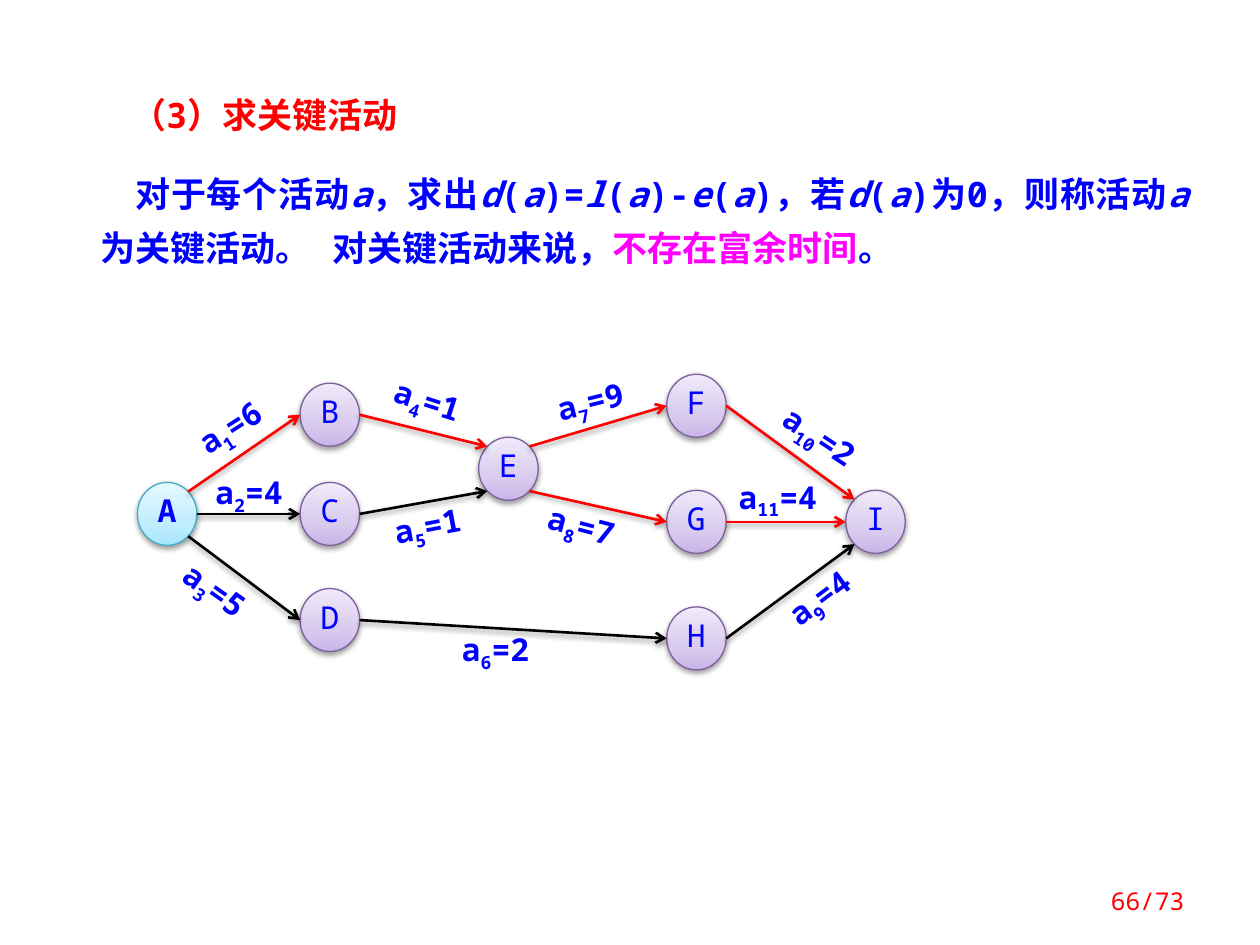
from copy import deepcopy
from math import cos, pi

from lxml.etree import SubElement
from pptx import Presentation
from pptx.dml.color import RGBColor
from pptx.enum.shapes import MSO_CONNECTOR, MSO_SHAPE
from pptx.enum.text import MSO_ANCHOR, MSO_AUTO_SIZE, PP_ALIGN
from pptx.oxml.ns import qn
from pptx.util import Cm, Pt

THEME = {
    "font": "Noto Sans Mono",
    "text": "0000FF", "title": "FF0000", "highlight": "FF00FF",
    "critical": "FF0000", "normal": "000000",
    "start": {"line": "46AAC5", "stops": ["A7E6FF", "C1EDFF", "E7F8FF"]},
    "event": {"line": "7D60A0", "stops": ["C9B5E8", "D8CBEE", "F0EAF9"]},
    "body_size": 20, "graph_size": 18, "page_size": 14,
}
STOP_POSITIONS = [0, 0.35, 1]

TITLE = "（3）求关键活动"
PAGE = "66/73"
# Text between asterisks is italic.
BODY = [
    ("对于每个活动*a*，求出*d*(*a*)=*l*(*a*)-*e*(*a*)，若*d*(*a*)为0，则称活动*a*"
     "为关键活动。 对关键活动来说，", "text"),
    ("不存在富余时间", "highlight"),
    ("。", "text"),
]

# Centres in cm
EVENTS = {
    "A": (3.37, 10.36), "B": (6.65, 8.36), "C": (6.65, 10.36),
    "D": (6.65, 12.5), "E": (10.25, 9.45), "F": (14.04, 8.18),
    "G": (14.04, 10.52), "H": (14.04, 12.87), "I": (17.65, 10.52),
}
EVENT_WIDTH, EVENT_HEIGHT = 1.2, 1.27
DIAGONAL = cos(pi / 4)
SITES = {
    "left": (-1, 0), "right": (1, 0),
    "upper left": (-DIAGONAL, -DIAGONAL), "lower left": (-DIAGONAL, DIAGONAL),
    "upper right": (DIAGONAL, -DIAGONAL), "lower right": (DIAGONAL, DIAGONAL),
}

# Index, duration, from, site, to, site, colour, label centre, label angle
ACTIVITIES = [
    (1, 6, "A", "upper right", "B", "left", "critical", (4.64, 8.61), -32.7),
    (2, 4, "A", "right", "C", "left", "normal", (5.02, 9.93), 0),
    (3, 5, "A", "lower right", "D", "left", "normal", (4.33, 11.89), 35.2),
    (4, 1, "B", "right", "E", "upper left", "critical", (8.62, 8.08), 17.8),
    (5, 1, "C", "right", "E", "lower left", "normal", (8.62, 10.6), -10.8),
    (6, 2, "D", "right", "H", "left", "normal", (9.99, 13.09), 0),
    (7, 9, "E", "upper right", "F", "left", "critical", (11.9, 8.09), -14),
    (8, 7, "E", "lower right", "G", "left", "critical", (11.72, 10.6), 14.7),
    (9, 4, "H", "right", "I", "lower left", "normal", (16.52, 12.05), -36.6),
    (10, 2, "F", "right", "I", "upper left", "critical", (16.52, 8.8), 33.4),
    (11, 4, "G", "right", "I", "left", "critical", (15.68, 10.02), 0),
]
LABEL_WIDTH, LABEL_HEIGHT = 2.06, 0.62


def set_attributes(target, **values):
    for name, value in values.items():
        setattr(target, name, value)


def colour(name):
    return RGBColor.from_string(THEME.get(name, name))


def add_run(paragraph, text, size, color="text", baseline=0, **format_values):
    run = paragraph.add_run()
    run.text = text
    set_attributes(run.font, name=THEME["font"], size=Pt(THEME[size]), **format_values)
    run.font.color.rgb = colour(color)
    properties = run.font._element
    SubElement(properties, qn("a:ea"), typeface=THEME["font"])
    if baseline:
        properties.set("baseline", str(baseline))


def prepare_text(shape, margins=None, anchor=MSO_ANCHOR.TOP, **paragraph_values):
    """Format the text frame and return its first paragraph."""
    frame = shape.text_frame
    set_attributes(frame, word_wrap=True, auto_size=MSO_AUTO_SIZE.NONE,
                   vertical_anchor=anchor)
    if margins is not None:
        set_attributes(frame, margin_left=margins, margin_right=margins,
                       margin_top=margins, margin_bottom=margins)
    paragraph = frame.paragraphs[0]
    set_attributes(paragraph, **paragraph_values)
    return paragraph


def add_shadow(shape):
    effects = SubElement(shape._element.spPr, qn("a:effectLst"))
    shadow = SubElement(effects, qn("a:outerShdw"), blurRad="40000", dist="20000",
                        dir="5400000", rotWithShape="0")
    black = SubElement(shadow, qn("a:srgbClr"), val="000000")
    SubElement(black, qn("a:alpha"), val="38000")


def add_event(shapes, name, center):
    x, y = center
    style = THEME["start" if name == "A" else "event"]
    shape = shapes.add_shape(
        MSO_SHAPE.OVAL, Cm(x - EVENT_WIDTH / 2), Cm(y - EVENT_HEIGHT / 2),
        Cm(EVENT_WIDTH), Cm(EVENT_HEIGHT))
    shape.fill.gradient()
    shape.fill.gradient_angle = 90
    stop_list = shape._element.spPr.find(".//" + qn("a:gsLst"))
    stop_list.append(deepcopy(stop_list[0]))
    for stop, position, value in zip(shape.fill.gradient_stops, STOP_POSITIONS,
                                     style["stops"]):
        stop.position = position
        stop.color.rgb = colour(value)
    shape.line.color.rgb = colour(style["line"])
    shape.line.width = Pt(0.75)
    add_shadow(shape)
    paragraph = prepare_text(shape, 0, MSO_ANCHOR.MIDDLE,
                             alignment=PP_ALIGN.CENTER, line_spacing=0.8)
    add_run(paragraph, name, "graph_size", bold=name == "A")


def site_position(event, site):
    (x, y), (across, down) = EVENTS[event], SITES[site]
    return Cm(x + across * EVENT_WIDTH / 2), Cm(y + down * EVENT_HEIGHT / 2)


def add_arrow(shapes, start, end, color):
    arrow = shapes.add_connector(MSO_CONNECTOR.STRAIGHT, *start, *end)
    arrow.line.color.rgb = colour(color)
    arrow.line.width = Pt(1.5)
    SubElement(arrow.line._get_or_add_ln(), qn("a:tailEnd"), type="arrow")
    add_shadow(arrow)


def add_label(shapes, index, duration, center, angle):
    x, y = center
    box = shapes.add_textbox(Cm(x - LABEL_WIDTH / 2), Cm(y - LABEL_HEIGHT / 2),
                             Cm(LABEL_WIDTH), Cm(LABEL_HEIGHT))
    box.rotation = angle
    paragraph = prepare_text(box, 0, alignment=PP_ALIGN.CENTER, line_spacing=0.8)
    for text, baseline in (("a", 0), (str(index), -25000), (f"={duration}", 0)):
        add_run(paragraph, text, "graph_size", baseline=baseline, bold=True)


def add_body(shapes):
    box = shapes.add_textbox(Cm(1.78), Cm(3.1), Cm(22.43), Cm(2.36))
    paragraph = prepare_text(box, alignment=PP_ALIGN.JUSTIFY, line_spacing=Pt(31))
    paragraph._p.get_or_add_pPr().set("indent", str(Cm(0.7)))
    for markup, color in BODY:
        for position, text in enumerate(markup.split("*")):
            add_run(paragraph, text, "body_size", color, bold=True,
                    italic=position % 2 == 1)


def main():
    presentation = Presentation()
    set_attributes(presentation, slide_width=Cm(25.4), slide_height=Cm(19.05))
    slide = presentation.slides.add_slide(presentation.slide_layouts[5])
    shapes = slide.shapes

    title = shapes.title
    set_attributes(title, left=Cm(2.39), top=Cm(1.75), width=Cm(7.54), height=Cm(1.12))
    add_run(prepare_text(title, alignment=PP_ALIGN.LEFT), TITLE, "body_size", "title",
            bold=True)
    add_body(shapes)

    for name, center in EVENTS.items():
        add_event(shapes, name, center)
    for index, duration, start, start_site, end, end_site, color, center, angle in ACTIVITIES:
        add_arrow(shapes, site_position(start, start_site),
                  site_position(end, end_site), color)
        add_label(shapes, index, duration, center, angle)

    page = shapes.add_textbox(Cm(21.64), Cm(17.65), Cm(2.49), Cm(1.02))
    paragraph = prepare_text(page, anchor=MSO_ANCHOR.MIDDLE, alignment=PP_ALIGN.RIGHT)
    add_run(paragraph, PAGE, "page_size", "title")
    presentation.save("out.pptx")


if __name__ == "__main__":
    main()
